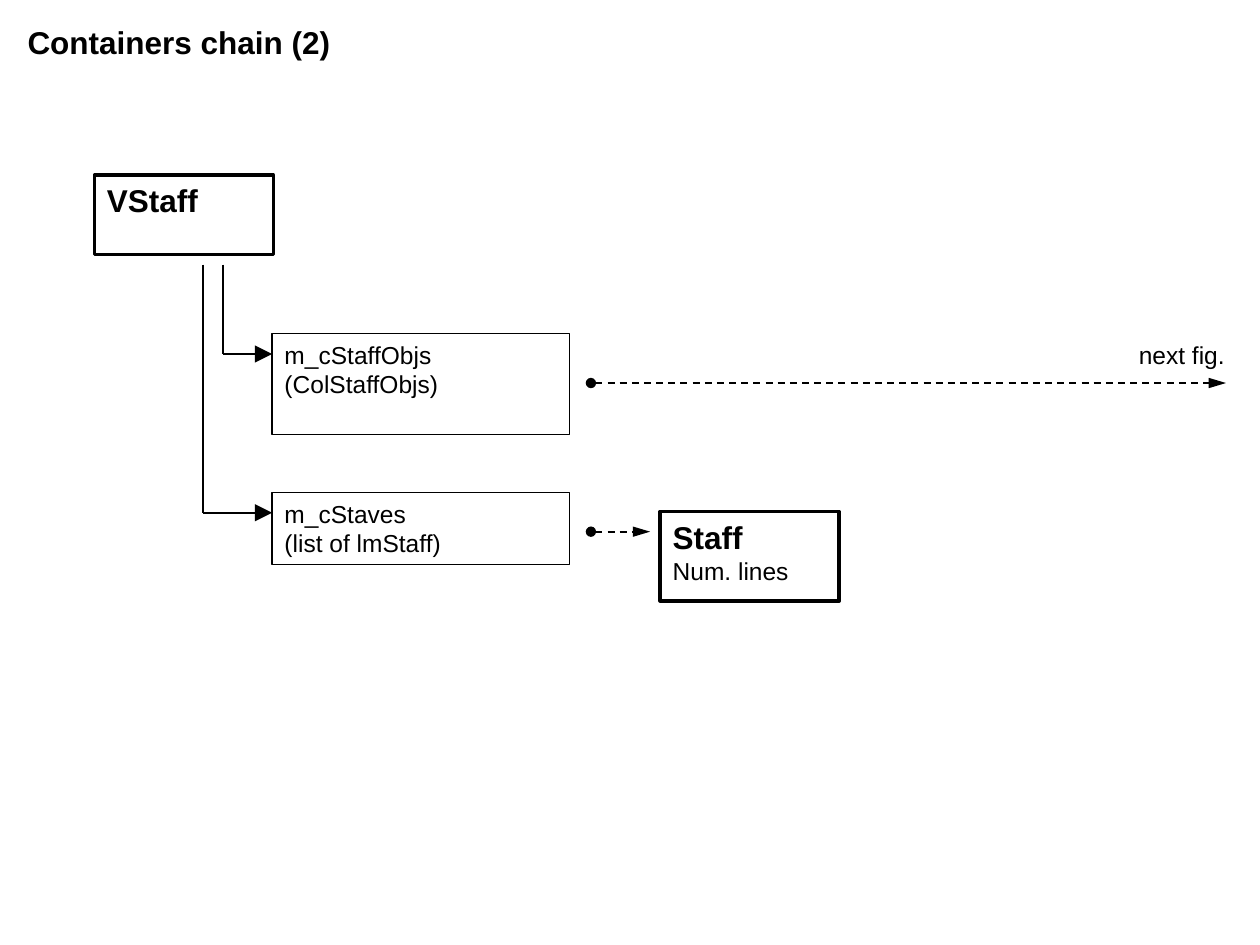
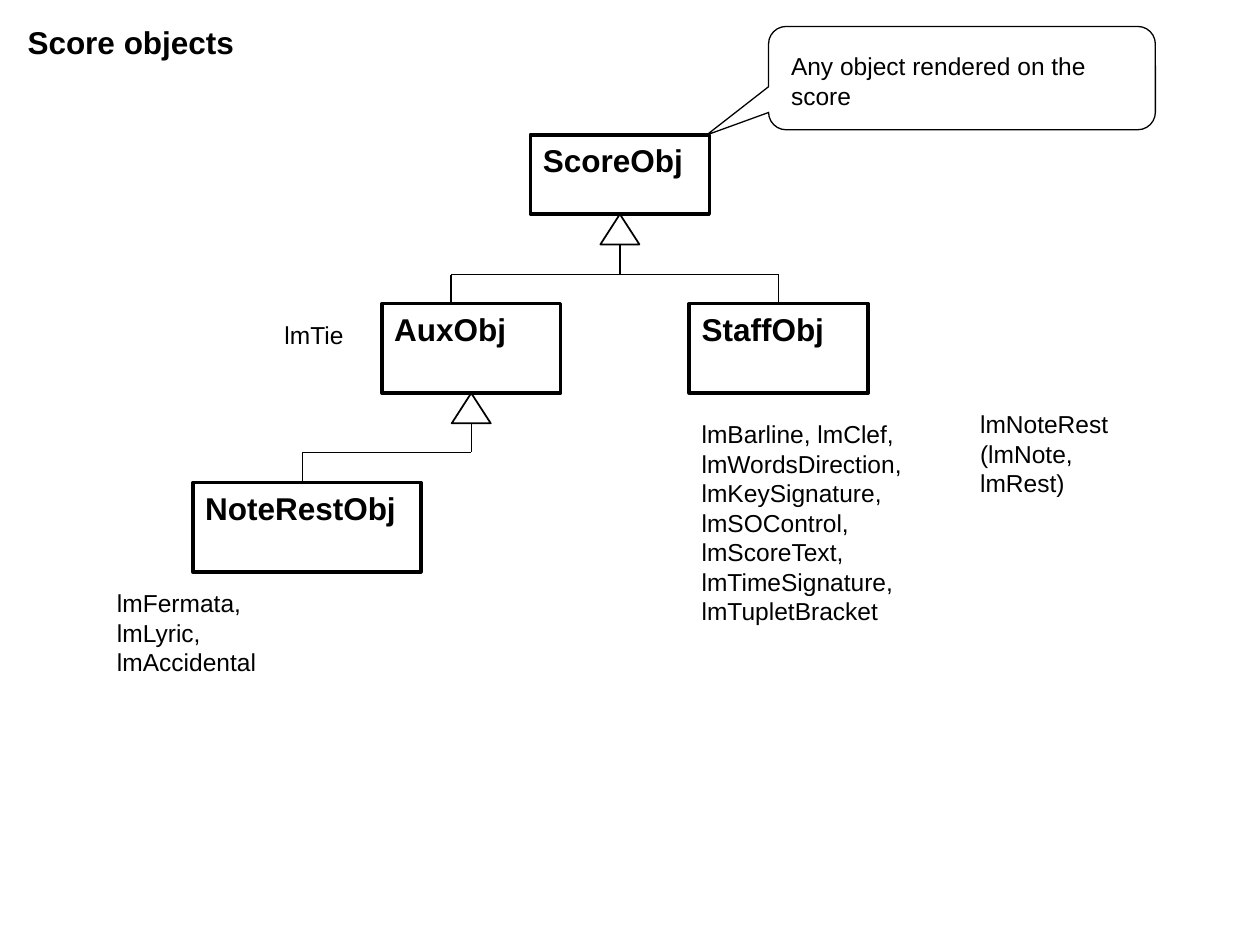
from dataclasses import dataclass

from lxml.etree import SubElement
from pptx import Presentation
from pptx.dml.color import RGBColor
from pptx.enum.dml import MSO_LINE
from pptx.enum.shapes import MSO_CONNECTOR, MSO_SHAPE
from pptx.enum.text import MSO_ANCHOR, PP_ALIGN
from pptx.oxml.ns import qn
from pptx.util import Inches, Pt


@dataclass(frozen=True)
class Theme:
    font: str = "Arial"
    ink: RGBColor = RGBColor(0, 0, 0)
    heading: float = 18
    body: float = 14
    thin: float = 0.75
    medium: float = 1
    thick: float = 2


class Diagram:
    """Draws class diagrams on the current slide in one theme."""

    def __init__(self, prs, theme):
        self.prs = prs
        self.theme = theme
        self.s = None

    def new_slide(self, title):
        self.s = self.prs.slides.add_slide(self.prs.slide_layouts[6])
        self.text(0.12, 0.13, 3.02, 0.4, heading=title)

    def add_runs(self, tf, heading=None, lines=(), wrap=True):
        """Fill a frame with an optional bold heading and plain lines."""
        t = self.theme
        tf.word_wrap = wrap
        tf.vertical_anchor = MSO_ANCHOR.TOP
        rows = [(heading, t.heading, True)] if heading else []
        rows += [(line, t.body, False) for line in lines]
        for i, (text, size, bold) in enumerate(rows):
            p = tf.paragraphs[0] if i == 0 else tf.add_paragraph()
            p.alignment = PP_ALIGN.LEFT
            r = p.add_run()
            r.text = text
            r.font.name = t.font
            r.font.size = Pt(size)
            r.font.bold = bold
            r.font.color.rgb = t.ink

    def text(self, x, y, w, h, *lines, heading=None, wrap=True):
        sp = self.s.shapes.add_textbox(Inches(x), Inches(y), Inches(w), Inches(h))
        self.add_runs(sp.text_frame, heading, lines, wrap)

    def outline(self, kind, x, y, w, h, width):
        """Add an unfilled preset shape."""
        sp = self.s.shapes.add_shape(kind, Inches(x), Inches(y), Inches(w), Inches(h))
        sp.shadow.inherit = False
        sp.fill.background()
        sp.line.color.rgb = self.theme.ink
        sp.line.width = Pt(width)
        return sp

    def class_box(self, x, y, name, *lines, w=1.42, h=0.71):
        sp = self.outline(MSO_SHAPE.RECTANGLE, x, y, w, h, self.theme.thick)
        self.add_runs(sp.text_frame, name, lines)

    def member_box(self, x, y, h, *lines):
        sp = self.outline(MSO_SHAPE.RECTANGLE, x, y, 2.36, h, self.theme.thin)
        self.add_runs(sp.text_frame, lines=lines)

    def inherit_mark(self, x, y):
        """Hollow triangle with its tip at (x, y)."""
        w = 0.31
        self.outline(MSO_SHAPE.ISOSCELES_TRIANGLE, x - w / 2, y, w, 0.24,
                     self.theme.medium)

    def callout(self, x, y, w, h, adjustments):
        sp = self.outline(MSO_SHAPE.ROUNDED_RECTANGULAR_CALLOUT, x, y, w, h,
                          self.theme.thin)
        for i, value in enumerate(adjustments):
            sp.adjustments[i] = value

    def line(self, shapes, start, end, width):
        cx = shapes.add_connector(MSO_CONNECTOR.STRAIGHT,
                                  *(Inches(v) for v in (*start, *end)))
        cx.line.color.rgb = self.theme.ink
        cx.line.width = Pt(width)
        SubElement(cx._element.spPr, qn("a:effectLst"))
        return cx

    def line_end(self, cx, tag, kind, w, length):
        ln = cx._element.spPr.find(qn("a:ln"))
        SubElement(ln, qn(tag), type=kind, w=w, len=length)

    def elbow_arrow(self, x, top, to_x, y):
        """Line down from (x, top), then an arrow across to (to_x, y)."""
        shapes = self.s.shapes.add_group_shape().shapes
        self.line(shapes, (x, top), (x, y), self.theme.medium)
        cx = self.line(shapes, (x, y), (to_x, y), self.theme.medium)
        self.line_end(cx, "a:tailEnd", "triangle", "lg", "lg")

    def dashed_arrow(self, x, to_x, y):
        cx = self.line(self.s.shapes, (x, y), (to_x, y), self.theme.medium)
        cx.line.dash_style = MSO_LINE.DASH
        self.line_end(cx, "a:headEnd", "oval", "med", "med")
        self.line_end(cx, "a:tailEnd", "triangle", "med", "lg")

    def branch(self, parent_x, top, bar_y, bottom, child_xs):
        """Tree link from one parent to its children through a bar."""
        shapes = self.s.shapes.add_group_shape().shapes
        xs = (parent_x, *child_xs)
        segments = [((min(xs), bar_y), (max(xs), bar_y)),
                    ((parent_x, top), (parent_x, bar_y))]
        segments += [((x, bar_y), (x, bottom)) for x in child_xs]
        for start, end in segments:
            self.line(shapes, start, end, self.theme.thin)


def containers_chain(d):
    d.new_slide("Containers chain (2)")
    members_x = 2.16
    for x, y in ((1.77, 2.81), (1.61, 4.07)):
        d.elbow_arrow(x, 2.1, members_x, y)
    d.class_box(0.75, 1.39, "VStaff", h=0.63)
    d.class_box(5.24, 4.06, "Staff", "Num. lines")
    d.member_box(members_x, 2.65, 0.8, "m_cStaffObjs", "(ColStaffObjs)")
    d.member_box(members_x, 3.91, 0.57, "m_cStaves", "(list of lmStaff)")
    for to_x, y in ((5.16, 4.22), (9.73, 3.04)):
        d.dashed_arrow(4.69, to_x, y)
    d.text(8.94, 2.65, 0.88, 0.34, "next fig.", wrap=False)


def score_objects(d):
    d.new_slide("Score objects")
    d.class_box(4.21, 1.07, "ScoreObj", h=0.63)
    d.class_box(3.03, 2.41, "AuxObj")
    d.class_box(5.47, 2.41, "StaffObj")
    d.class_box(1.53, 3.83, "NoteRestObj", w=1.81)

    d.inherit_mark(4.92, 1.7)
    d.branch(4.92, 1.94, 2.18, 2.41, (3.58, 6.18))
    d.inherit_mark(3.74, 3.12)
    d.branch(3.74, 3.36, 3.59, 3.83, (2.4,))

    d.text(5.47, 3.28, 2.29, 1.74,
           "lmBarline, lmClef, lmWordsDirection, lmKeySignature, lmSOControl,",
           "lmScoreText, lmTimeSignature, lmTupletBracket")
    d.text(7.68, 3.2, 1.31, 0.8, "lmNoteRest (lmNote, lmRest)")
    d.text(2.16, 2.49, 1.57, 0.57, "lmTie")
    d.text(0.83, 4.62, 1.49, 0.8, "lmFermata, lmLyric, lmAccidental")

    d.callout(6.1, 0.21, 3.07, 0.82, (-0.66, 0.55, 0.17))
    d.text(6.18, 0.36, 2.86, 0.57, "Any object rendered on the", "score")


def main():
    prs = Presentation()
    prs.slide_width = Inches(10)
    prs.slide_height = Inches(7.5)
    d = Diagram(prs, Theme())
    containers_chain(d)
    score_objects(d)
    prs.save("out.pptx")


if __name__ == "__main__":
    main()
